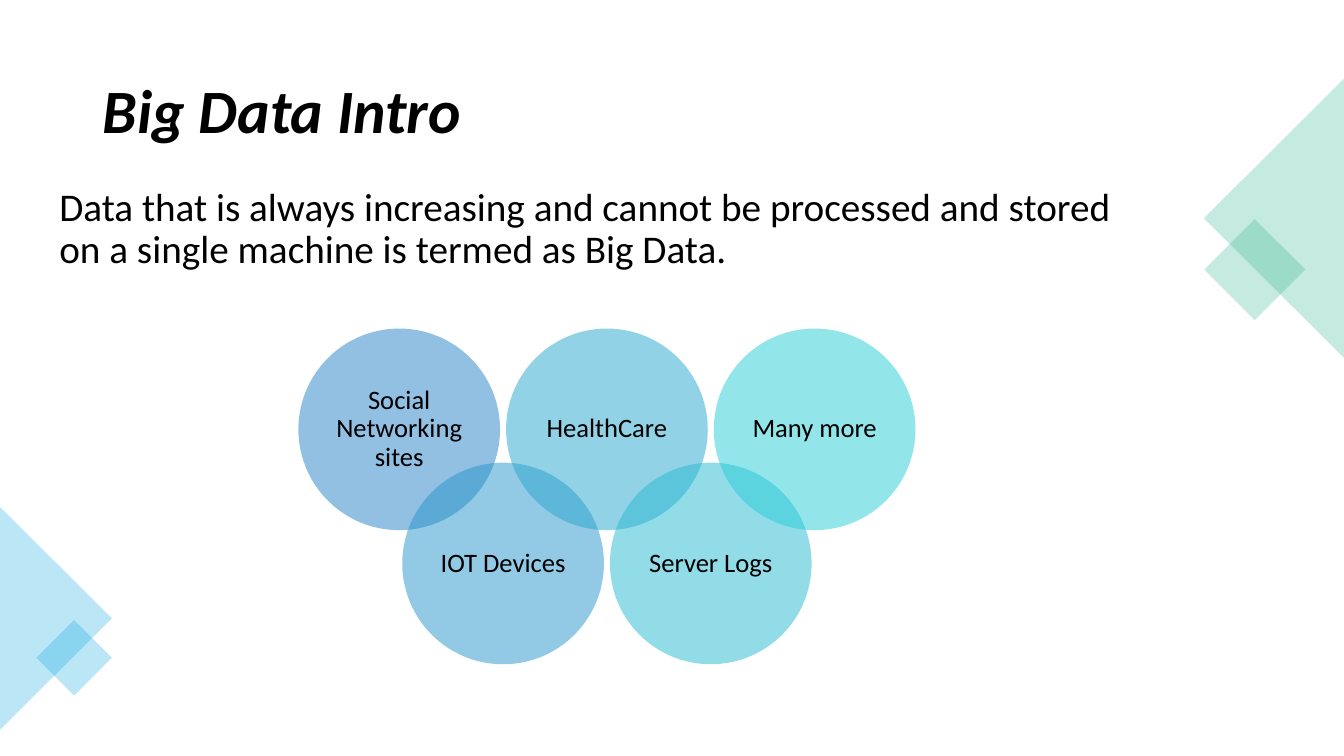
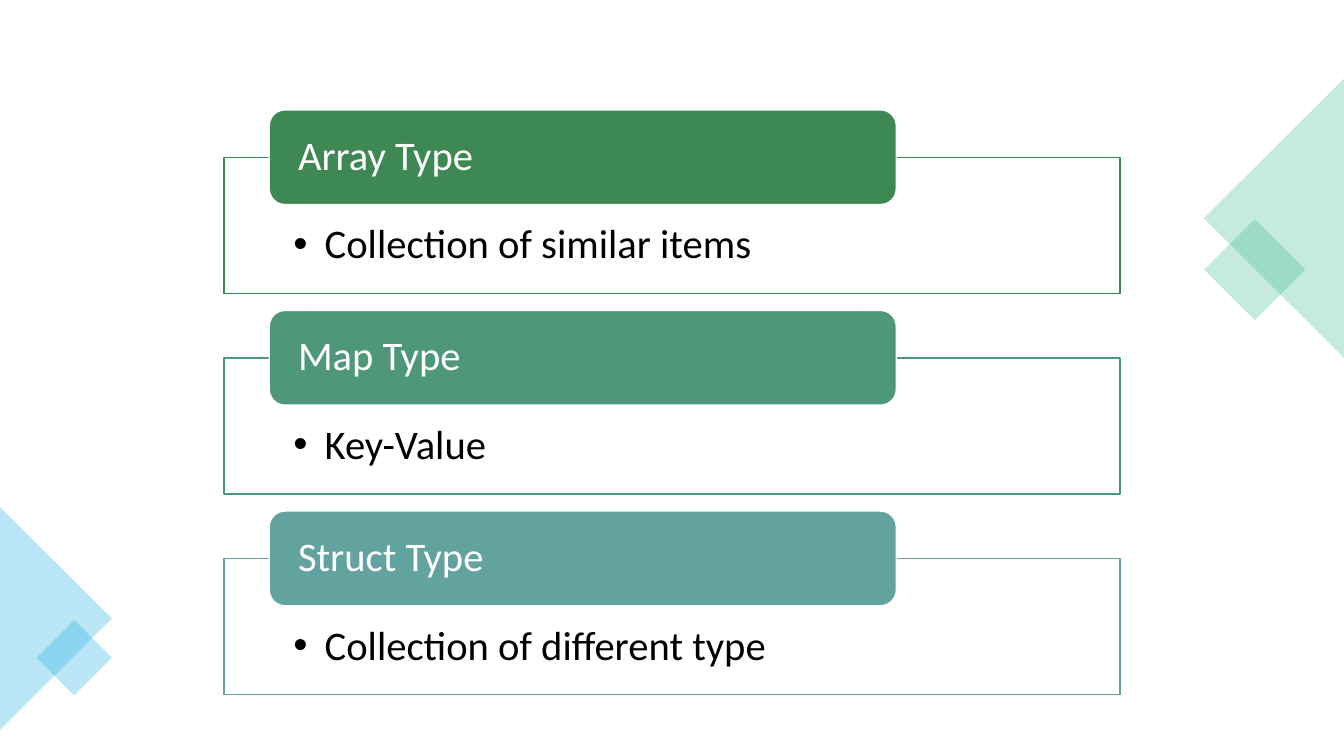
from dataclasses import dataclass

from lxml import etree
from pptx import Presentation
from pptx.dml.color import RGBColor
from pptx.enum import shapes, text
from pptx.oxml import ns
from pptx.util import Inches, Pt


@dataclass(frozen=True)
class Theme:
    font: str = "Calibri"
    black: str = "000000"
    white: str = "FFFFFF"
    green: str = "42BA97"
    blue: str = "1CADE4"
    title: int = 44
    body: int = 28
    panel: int = 29
    circle: int = 19
    decor_alpha: int = 30
    circle_alpha: int = 50
    panel_alpha: int = 90


THEME = Theme()
SHAPE = shapes.MSO_SHAPE
ALIGN = text.PP_ALIGN
ANCHOR = text.MSO_ANCHOR

DECOR = [
    (SHAPE.RECTANGLE, (12.09, 2.32, 0.71, 0.71), 45, THEME.green),
    (SHAPE.ISOSCELES_TRIANGLE, (11.25, 1.47, 2.77, 1.39), 270, THEME.green),
    (SHAPE.ISOSCELES_TRIANGLE, (-0.55, 5.58, 2.21, 1.11), 90, THEME.blue),
    (SHAPE.RECTANGLE, (0.47, 6.26, 0.53, 0.53), 45, THEME.blue),
]

TITLE = "Big Data Intro"
DEFINITION = (
    "Data that is always increasing and cannot be processed and stored "
    "on a single machine is termed as Big Data."
)
SOURCES = [
    ("Social Networking sites", "2683C6"),
    ("IOT Devices", "2695CA"),
    ("HealthCare", "27A7CE"),
    ("Server Logs", "27BAD3"),
    ("Many more", "27CED7"),
]
TYPES = [
    ("Array Type", "Collection of similar items", "3E8853"),
    ("Map Type", "Key-Value", "4E977B"),
    ("Struct Type", "Collection of different type", "62A39F"),
]


def set_all(target, values):
    for name, value in values.items():
        setattr(target, name, value)


def place(sp, box):
    names = ("left", "top", "width", "height")
    set_all(sp, dict(zip(names, map(Inches, box))))


def add_shape(s, kind, box, fill, alpha=100, line=None):
    sp = s.shapes.add_shape(kind, *map(Inches, box))
    sp.shadow.inherit = False
    sp.fill.solid()
    sp.fill.fore_color.rgb = RGBColor.from_string(fill)
    if alpha < 100:
        color = sp.fill._xPr.find(".//" + ns.qn("a:srgbClr"))
        etree.SubElement(color, ns.qn("a:alpha"), val=str(alpha * 1000))
    if line:
        sp.line.color.rgb = RGBColor.from_string(line)
        sp.line.width = Pt(1)
    else:
        sp.line.fill.background()
    return sp


def write(sp, words, size, color=THEME.black, align=ALIGN.LEFT,
          anchor=ANCHOR.MIDDLE, insets=(0.1, 0.05, 0.1, 0.05),
          bullet=False, **font):
    tf = sp.text_frame
    names = ("margin_left", "margin_top", "margin_right", "margin_bottom")
    set_all(tf, dict(zip(names, map(Inches, insets))))
    set_all(tf, {"word_wrap": True, "auto_size": text.MSO_AUTO_SIZE.NONE,
                 "vertical_anchor": anchor})
    p = tf.paragraphs[0]
    set_all(p, {"alignment": align, "line_spacing": 0.9})
    if bullet:
        pPr = p._p.get_or_add_pPr()
        pPr.set("marL", str(Inches(0.31)))
        pPr.set("indent", str(-Inches(0.31)))
        etree.SubElement(pPr, ns.qn("a:buFont"), typeface="Arial")
        etree.SubElement(pPr, ns.qn("a:buChar"), char="•")
    r = p.add_run()
    r.text = words
    set_all(r.font, {"name": THEME.font, "size": Pt(size), **font})
    r.font.color.rgb = RGBColor.from_string(color)


def new_slide(prs, layout):
    s = prs.slides.add_slide(prs.slide_layouts[layout])
    for kind, box, angle, color in DECOR:
        add_shape(s, kind, box, color, THEME.decor_alpha).rotation = angle
    return s


def build_intro(prs):
    s = new_slide(prs, 5)
    place(s.shapes.title, (0.92, 0.4, 11.5, 1.45))
    write(s.shapes.title, TITLE, THEME.title, bold=True, italic=True)
    definition = s.shapes.add_textbox(*map(Inches, (0.49, 1.81, 10.99, 1.16)))
    write(definition, DEFINITION, THEME.body, anchor=ANCHOR.TOP)
    for i, (label, color) in enumerate(SOURCES):
        box = (2.96 + 1.03 * i, 3.26 + 1.33 * (i % 2), 2, 2)
        circle = add_shape(s, SHAPE.OVAL, box, color, THEME.circle_alpha)
        write(circle, label, THEME.circle, align=ALIGN.CENTER,
              insets=(0.08,) * 4)


def build_types(prs):
    s = new_slide(prs, 6)
    for i, (label, detail, color) in enumerate(TYPES):
        top = 1.56 + 1.99 * i
        panel = add_shape(s, SHAPE.RECTANGLE, (2.22, top, 8.89, 1.35),
                          THEME.white, THEME.panel_alpha, color)
        write(panel, detail, THEME.panel, anchor=ANCHOR.TOP,
              insets=(0.69, 0.66, 0.69, 0.23), bullet=True)
        tab = add_shape(s, SHAPE.ROUNDED_RECTANGLE,
                        (2.67, top - 0.47, 6.22, 0.94), color,
                        line=THEME.white)
        write(tab, label, THEME.panel, THEME.white,
              insets=(0.24, 0, 0.24, 0))


def main():
    prs = Presentation()
    set_all(prs, {"slide_width": Inches(13.33), "slide_height": Inches(7.5)})
    build_intro(prs)
    build_types(prs)
    prs.save("out.pptx")


if __name__ == "__main__":
    main()
